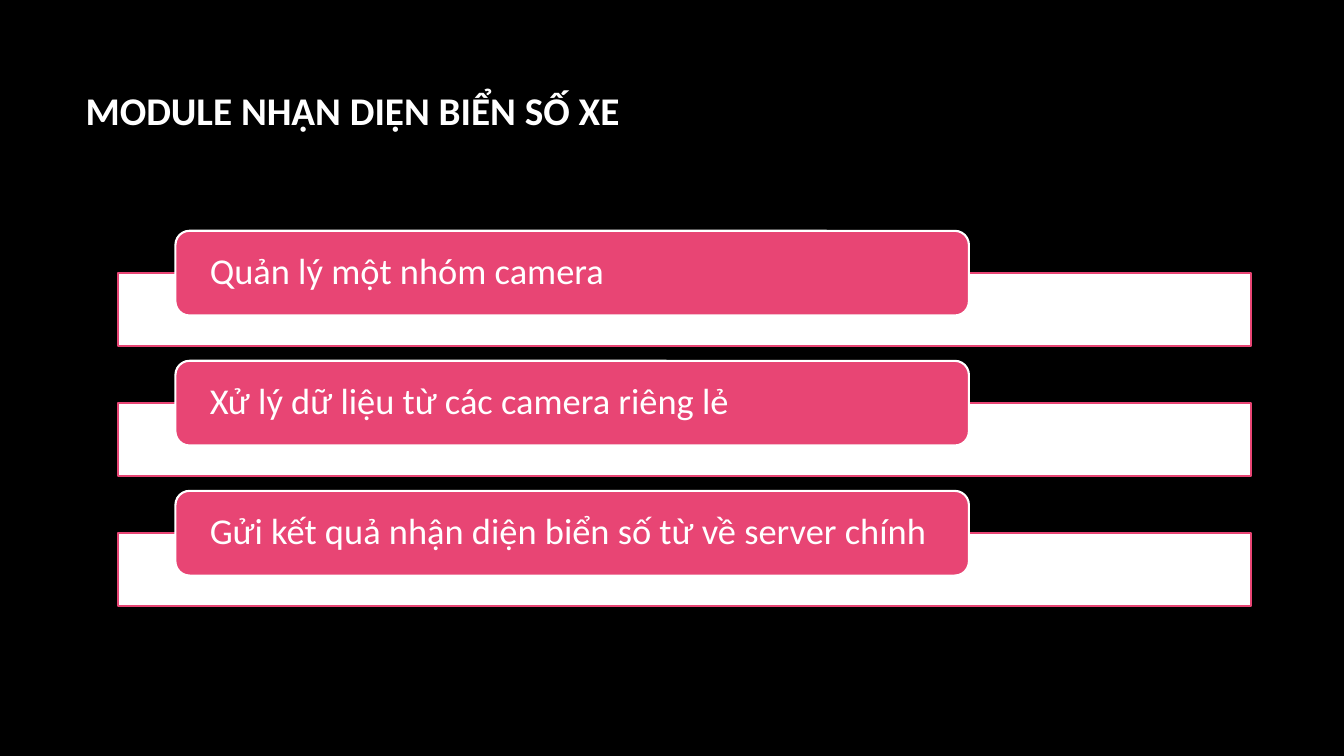
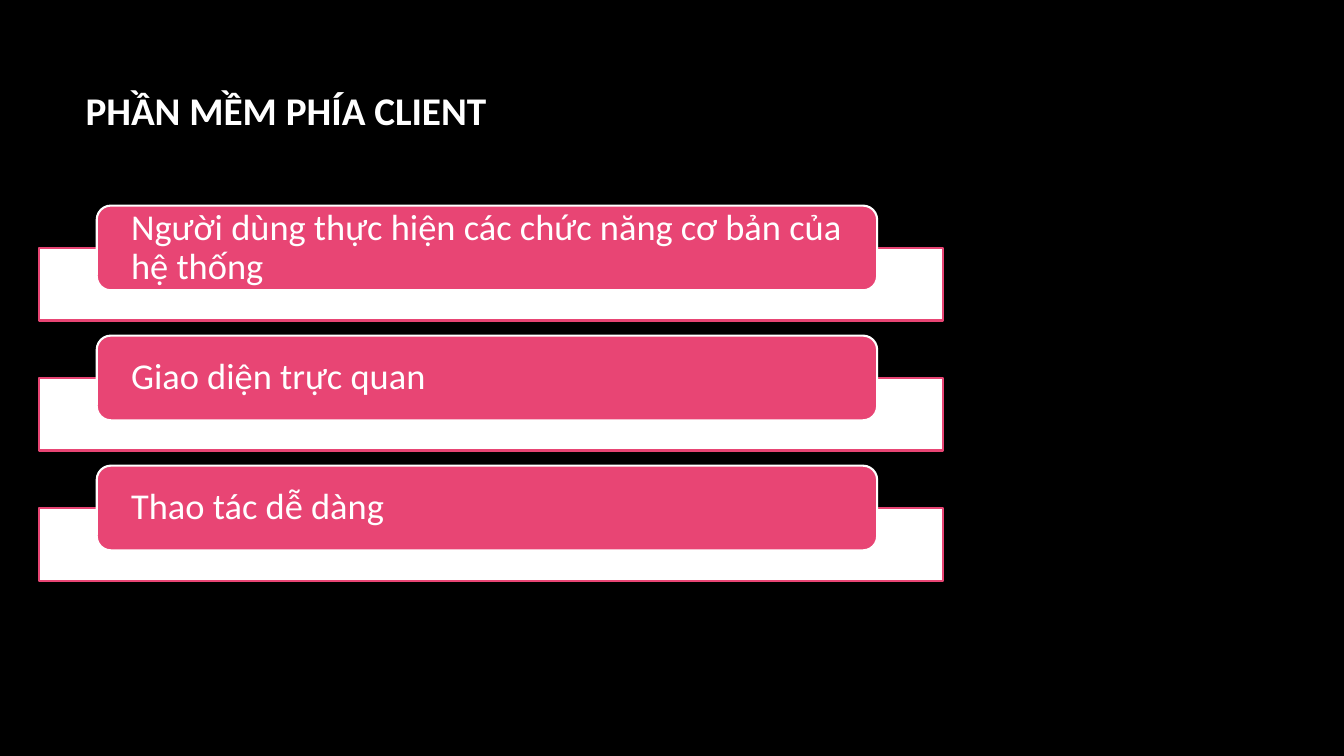
from dataclasses import dataclass

from pptx import Presentation
from pptx.dml.color import RGBColor
from pptx.enum.shapes import MSO_SHAPE
from pptx.enum.text import MSO_ANCHOR, PP_ALIGN
from pptx.util import Inches, Pt


@dataclass(frozen=True)
class Theme:
    background: RGBColor = RGBColor(0x00, 0x00, 0x00)
    accent: RGBColor = RGBColor(0xE8, 0x45, 0x74)
    light: RGBColor = RGBColor(0xFF, 0xFF, 0xFF)
    font: str = "Calibri"
    title_size: Pt = Pt(28)
    card_size: Pt = Pt(26)
    outline: Pt = Pt(1.5)


THEME = Theme()

BAR_HEIGHT = 0.72
CARD_HEIGHT = 0.84
CARD_INDENT = 0.57
CARD_OVERLAP = 0.42
ROW_STEP = 1.29

SLIDES = [
    {
        "title": "MODULE NHẬN DIỆN BIỂN SỐ XE",
        "left": 1.17, "top": 2.29, "bar_width": 11.24, "card_width": 7.87,
        "items": [
            "Quản lý một nhóm camera",
            "Xử lý dữ liệu từ các camera riêng lẻ",
            "Gửi kết quả nhận diện biển số từ về server chính",
        ],
    },
    {
        "title": "PHẦN MỀM PHÍA CLIENT",
        "left": 0.39, "top": 2.04, "bar_width": 8.96, "card_width": 7.74,
        "items": [
            "Người dùng thực hiện các chức năng cơ bản của hệ thống",
            "Giao diện trực quan",
            "Thao tác dễ dàng",
        ],
    },
]


def write_text(shape, text, *, size, bold=False, inset_x=0.1, inset_y=0.05, line_spacing=1.0):
    frame = shape.text_frame
    frame.word_wrap = True
    frame.vertical_anchor = MSO_ANCHOR.MIDDLE
    frame.margin_left = frame.margin_right = Inches(inset_x)
    frame.margin_top = frame.margin_bottom = Inches(inset_y)
    paragraph = frame.paragraphs[0]
    paragraph.text = text
    paragraph.alignment = PP_ALIGN.LEFT
    paragraph.line_spacing = line_spacing
    font = paragraph.runs[0].font
    font.name = THEME.font
    font.size = size
    font.bold = bold
    font.color.rgb = THEME.light


def add_box(slide, kind, left, top, width, height, fill, line):
    shape = slide.shapes.add_shape(kind, Inches(left), Inches(top), Inches(width), Inches(height))
    shape.shadow.inherit = False
    shape.fill.solid()
    shape.fill.fore_color.rgb = fill
    shape.line.color.rgb = line
    shape.line.width = THEME.outline
    return shape


presentation = Presentation()
presentation.slide_width = Inches(13.33)
presentation.slide_height = Inches(7.5)
blank_layout = presentation.slide_layouts[6]

for content in SLIDES:
    slide = presentation.slides.add_slide(blank_layout)
    slide.background.fill.solid()
    slide.background.fill.fore_color.rgb = THEME.background

    title = slide.shapes.add_textbox(Inches(0.75), Inches(0.67), Inches(11.08), Inches(0.83))
    write_text(title, content["title"], size=THEME.title_size, bold=True)

    for row, item in enumerate(content["items"]):
        card_top = content["top"] + row * ROW_STEP
        add_box(slide, MSO_SHAPE.RECTANGLE, content["left"], card_top + CARD_OVERLAP,
                content["bar_width"], BAR_HEIGHT, THEME.light, THEME.accent)
        card = add_box(slide, MSO_SHAPE.ROUNDED_RECTANGLE, content["left"] + CARD_INDENT, card_top,
                       content["card_width"], CARD_HEIGHT, THEME.accent, THEME.light)
        # The rounded shape adds about 0.04 inches of text inset of its own.
        write_text(card, item, size=THEME.card_size, inset_x=0.3, inset_y=0, line_spacing=0.9)

presentation.save("out.pptx")
